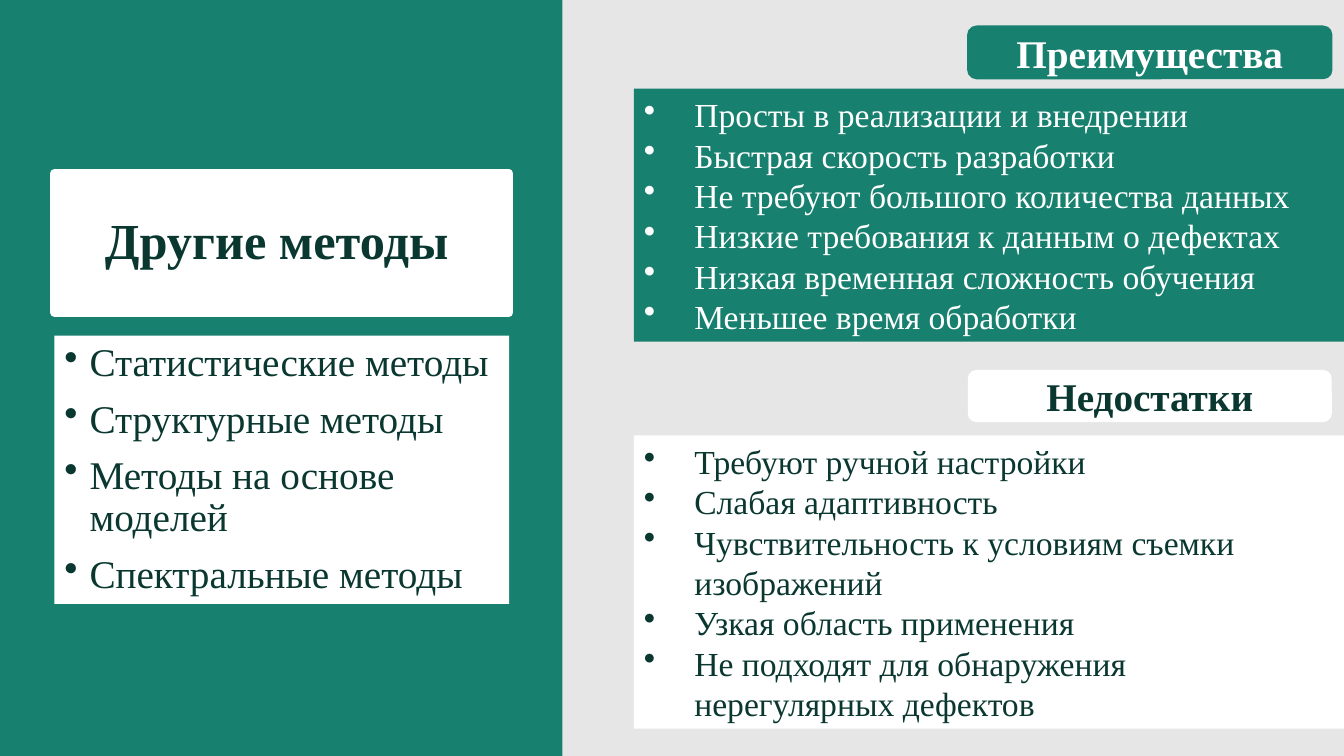
from pptx import Presentation
from pptx.dml.color import RGBColor
from pptx.enum.shapes import MSO_SHAPE as Preset
from pptx.enum.text import MSO_ANCHOR as Anchor, MSO_AUTO_SIZE as AutoSize, PP_ALIGN as Align
from pptx.oxml.ns import qn
from pptx.util import Inches, Pt
from lxml.etree import SubElement

GREEN = RGBColor(0x18, 0x80, 0x6E)
DARK = RGBColor(0x0A, 0x38, 0x30)
WHITE = RGBColor(0xFF, 0xFF, 0xFF)
GREY = RGBColor(0xE7, 0xE6, 0xE6)

# Percent of the slide's width or height
CARD_LEFT, CARD_WIDTH = 4.05, 33.83
LIST_LEFT, LIST_WIDTH = 47.17, 52.83
TAG_LEFT, TAG_WIDTH, TAG_HEIGHT = 72.01, 27.08, 6.93

METHODS = [
    "Статистические методы",
    "Структурные методы",
    "Методы на основе моделей",
    "Спектральные методы",
]
ADVANTAGES = [
    "Просты в реализации и внедрении",
    "Быстрая скорость разработки",
    "Не требуют большого количества данных",
    "Низкие требования к данным о дефектах",
    "Низкая временная сложность обучения",
    "Меньшее время обработки",
]
DRAWBACKS = [
    "Требуют ручной настройки",
    "Слабая адаптивность",
    "Чувствительность к условиям съемки изображений",
    "Узкая область применения",
    "Не подходят для обнаружения нерегулярных дефектов",
]


def apply(target, values):
    for name, value in values.items():
        setattr(target, name, value)


class SlideBuilder:
    font_name = "Times New Roman"

    def __init__(self, deck):
        self.deck = deck
        self.slide = deck.slides.add_slide(deck.slide_layouts[5])
        background = self.slide.background.fill
        background.solid()
        background.fore_color.rgb = GREY

    def frame(self, left, top, width, height):
        """Turn percentages of the slide into lengths."""
        across, down = self.deck.slide_width / 100, self.deck.slide_height / 100
        return [round(left * across), round(top * down),
                round(width * across), round(height * down)]

    def paint(self, shape, fill, line=None, line_width=1):
        shape.fill.solid()
        shape.fill.fore_color.rgb = fill
        if line is None:
            shape.line.fill.background()
        else:
            shape.line.color.rgb = line
            shape.line.width = Pt(line_width)

    def panel(self, box, fill, preset=Preset.RECTANGLE, line=None):
        shape = self.slide.shapes.add_shape(preset, *self.frame(*box))
        shape.shadow.inherit = False
        self.paint(shape, fill, line)
        return shape

    def add_text(self, shape, lines, size, color, bold=False, align=Align.CENTER,
                 indent=0, spacing=None, gap=0):
        """Fill the shape with paragraphs, bulleted when indent (inches) is given."""
        text = shape.text_frame
        apply(text, {"word_wrap": True, "auto_size": AutoSize.NONE,
                     "vertical_anchor": Anchor.MIDDLE})
        for index, line in enumerate(lines):
            paragraph = text.add_paragraph() if index else text.paragraphs[0]
            if indent:
                properties = paragraph._p.get_or_add_pPr()
                properties.set("marL", str(Inches(indent)))
                properties.set("indent", str(-Inches(indent)))
                SubElement(properties, qn("a:buChar")).set("char", "•")
            apply(paragraph, {"alignment": align, "line_spacing": spacing,
                              "space_before": Pt(gap if index else 0)})
            run = paragraph.add_run()
            run.text = line
            apply(run.font, {"name": self.font_name, "size": Pt(size), "bold": bold})
            run.font.color.rgb = color

    def title(self, box, words):
        title = self.slide.shapes.title
        apply(title, dict(zip(("left", "top", "width", "height"), self.frame(*box))))
        self.paint(title, WHITE, WHITE, 6)
        apply(title.text_frame, {"margin_left": 0, "margin_right": Inches(0.1),
                                 "margin_top": Inches(0.05), "margin_bottom": Inches(0.05)})
        self.add_text(title, [words], 36, DARK, bold=True, spacing=0.9)

    def bullets(self, box, lines, fill, color, size=24, indent=0.5, **layout):
        self.add_text(self.panel(box, fill), lines, size, color,
                      align=Align.LEFT, indent=indent, **layout)

    def tag(self, top, words, fill, color, line=None):
        box = (TAG_LEFT, top, TAG_WIDTH, TAG_HEIGHT)
        self.add_text(self.panel(box, fill, Preset.ROUNDED_RECTANGLE, line),
                      [words], 28, color, bold=True)

    def send_to_back(self, shape):
        self.slide.shapes._spTree.insert(2, shape._element)


def main():
    deck = Presentation()
    deck.slide_width, deck.slide_height = Inches(13.33), Inches(7.5)
    builder = SlideBuilder(deck)

    builder.send_to_back(builder.panel((0, 0, 41.85, 100), GREEN))
    builder.title((CARD_LEFT, 22.93, CARD_WIDTH, 18.4), "Другие методы")
    builder.bullets((CARD_LEFT, 44.4, CARD_WIDTH, 35.47), METHODS, WHITE, DARK,
                    size=28, indent=0.25, spacing=0.9, gap=10)

    builder.bullets((LIST_LEFT, 11.73, LIST_WIDTH, 33.47), ADVANTAGES, GREEN, WHITE)
    builder.tag(48.93, "Недостатки", WHITE, DARK)
    builder.tag(3.47, "Преимущества", GREEN, WHITE, line=GREEN)
    builder.bullets((LIST_LEFT, 57.6, LIST_WIDTH, 38.8), DRAWBACKS, WHITE, DARK)

    deck.save("out.pptx")


if __name__ == "__main__":
    main()
